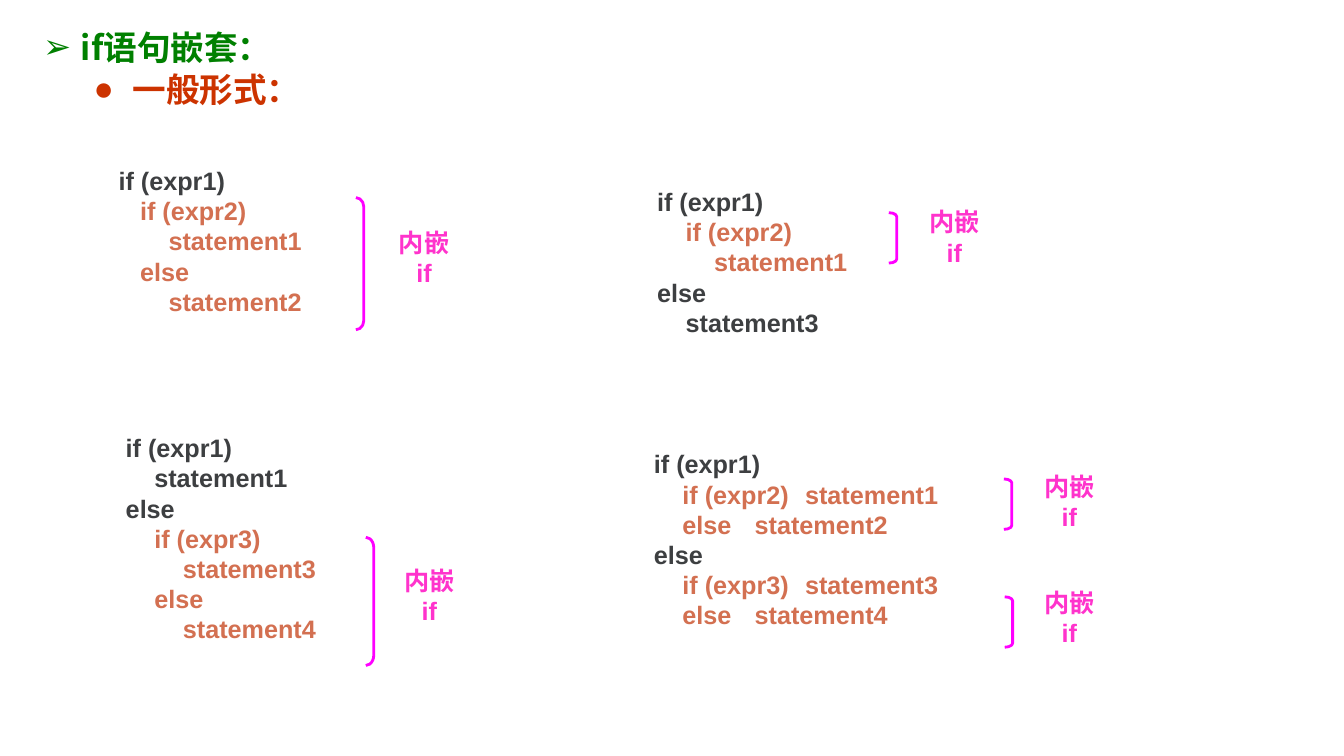
from dataclasses import dataclass
from pptx import Presentation
from pptx.dml.color import RGBColor as RGB
from pptx.enum.shapes import MSO_SHAPE as Shape
from pptx.enum.text import MSO_ANCHOR as Anchor, PP_ALIGN as Align
from pptx.oxml.ns import qn
from pptx.util import Cm, Pt
from lxml.etree import SubElement as Sub


@dataclass
class Theme:
    green: str = "008000"
    red: str = "CC3300"
    dark: str = "3D3F41"
    clay: str = "D37051"
    pink: str = "FF33CC"
    line: str = "FF00FF"
    latin: str = "Arial"
    han: str = "Noto Sans CJK SC"
    head: int = 24
    body: int = 18
    pitch: float = 21.6  # points from one code line to the next
    space: float = 0.18  # width of one indent step in cm


def write(para, text, size, color, latin, han):
    """Add a bold run; a vertical tab in the text breaks the line."""
    parts = text.split("\v")
    for i, part in enumerate(parts):
        if i:
            para.add_line_break()
        run = para.add_run()
        run.text = part
        font = run.font
        font.size, font.bold, font.name = Pt(size), True, latin
        font.color.rgb = RGB.from_string(color)
        Sub(run._r.get_or_add_rPr(), qn("a:ea"), typeface=han)


class Page:
    def __init__(self, slide, theme):
        self.slide, self.theme = slide, theme

    def box(self, x, y, w, h, anchor=Anchor.TOP):
        frame = self.slide.shapes.add_textbox(Cm(x), Cm(y), Cm(w), Cm(h)).text_frame
        frame.word_wrap = True
        frame.vertical_anchor = anchor
        return frame

    def paras(self, frame, items):
        """Pair each item with a paragraph of the frame."""
        for i, item in enumerate(items):
            yield frame.add_paragraph() if i else frame.paragraphs[0], item

    def heads(self, x, y, w, h, items):
        t = self.theme
        for para, (level, left, hang, mark, color, text) in self.paras(self.box(x, y, w, h), items):
            para.level = level
            para.line_spacing = 0.87
            para.space_before = Pt(t.head * 0.2)
            props = para._p.get_or_add_pPr()
            props.set("marL", str(Cm(left)))
            props.set("indent", str(-Cm(hang)))
            Sub(Sub(props, qn("a:buClr")), qn("a:srgbClr"), val=color)
            Sub(props, qn("a:buFont"), typeface=t.latin)
            Sub(props, qn("a:buChar"), char=mark)
            write(para, text, t.head, color, t.han, t.han)

    def code(self, x, y, w, lines):
        """Each line: indent steps, color, text and perhaps a tab stop in cm."""
        t = self.theme
        frame = self.box(x, y, w, 0.28 + 0.77 * len(lines))
        for para, (steps, color, text, *stops) in self.paras(frame, lines):
            para.line_spacing = Pt(t.pitch)
            props = para._p.get_or_add_pPr()
            props.set("marL", "0")
            props.set("indent", str(Cm(steps * t.space)))
            if stops:
                tabs = Sub(props, qn("a:tabLst"))
                for stop in stops:
                    Sub(tabs, qn("a:tab"), pos=str(Cm(stop)), algn="l")
            write(para, text, t.body, color, t.latin, t.han)

    def label(self, x, y):
        t = self.theme
        para = self.box(x, y, 2.18, 1.02, Anchor.MIDDLE).paragraphs[0]
        para.alignment = Align.CENTER
        write(para, "内嵌\vif", t.body, t.pink, t.latin, t.han)

    def brace(self, x, y, h=1.27, curve=0.5):
        shape = self.slide.shapes.add_shape(Shape.RIGHT_BRACKET, Cm(x), Cm(y), Cm(0.2), Cm(h))
        shape.adjustments[0] = curve
        shape.shadow.inherit = False
        shape.fill.background()
        shape.line.color.rgb = RGB.from_string(self.theme.line)
        shape.line.width = Pt(2)


def main():
    deck = Presentation()
    deck.slide_width, deck.slide_height = Cm(33.87), Cm(19.05)
    t = Theme()
    page = Page(deck.slides.add_slide(deck.slide_layouts[6]), t)
    dark, clay = t.dark, t.clay

    # Headings
    page.heads(0.84, 0.69, 8.86, 2.11, [
        (0, 0.95, 0.95, "➢", t.green, "if语句嵌套："),
        (1, 2.06, 0.79, "●", t.red, " 一般形式："),
    ])

    # Full if-else inside if
    page.code(2.74, 4.04, 5.4, [
        (0, dark, "if (expr1)"),
        (3, clay, "if (expr2)"),
        (7, clay, "statement1"),
        (3, clay, "else"),
        (7, clay, "statement2"),
    ])

    # Plain if inside if
    page.code(16.31, 4.57, 5.6, [
        (0, dark, "if (expr1)"),
        (4, clay, "if (expr2)"),
        (8, clay, "statement1"),
        (0, dark, "else"),
        (4, dark, "statement3"),
    ])

    # Full if-else inside else
    page.code(2.92, 10.77, 5.6, [
        (0, dark, "if (expr1)"),
        (4, dark, "statement1"),
        (0, dark, "else"),
        (4, clay, "if (expr3)"),
        (8, clay, "statement3"),
        (4, clay, "else"),
        (8, clay, "statement4"),
    ])

    # If-else inside both branches
    page.code(16.23, 11.18, 8.4, [
        (0, dark, "if (expr1)"),
        (4, clay, "if (expr2)\tstatement1", 3.73),
        (4, clay, "else\tstatement2", 4.06),
        (0, dark, "else"),
        (4, clay, "if (expr3)\tstatement3", 3.73),
        (4, clay, "else\tstatement4", 4.06),
    ])

    # Brackets and their labels
    for brace, label in [
        ((8.97, 4.98, 3.33, 1.18), (9.6, 5.97)),
        ((22.4, 5.36), (22.96, 5.46)),
        ((9.22, 13.54, 3.23, 1.3), (9.73, 14.5)),
        ((25.3, 12.07), (25.86, 12.12)),
        ((25.32, 15.04), (25.86, 15.04)),
    ]:
        page.brace(*brace)
        page.label(*label)

    deck.save("out.pptx")


if __name__ == "__main__":
    main()
